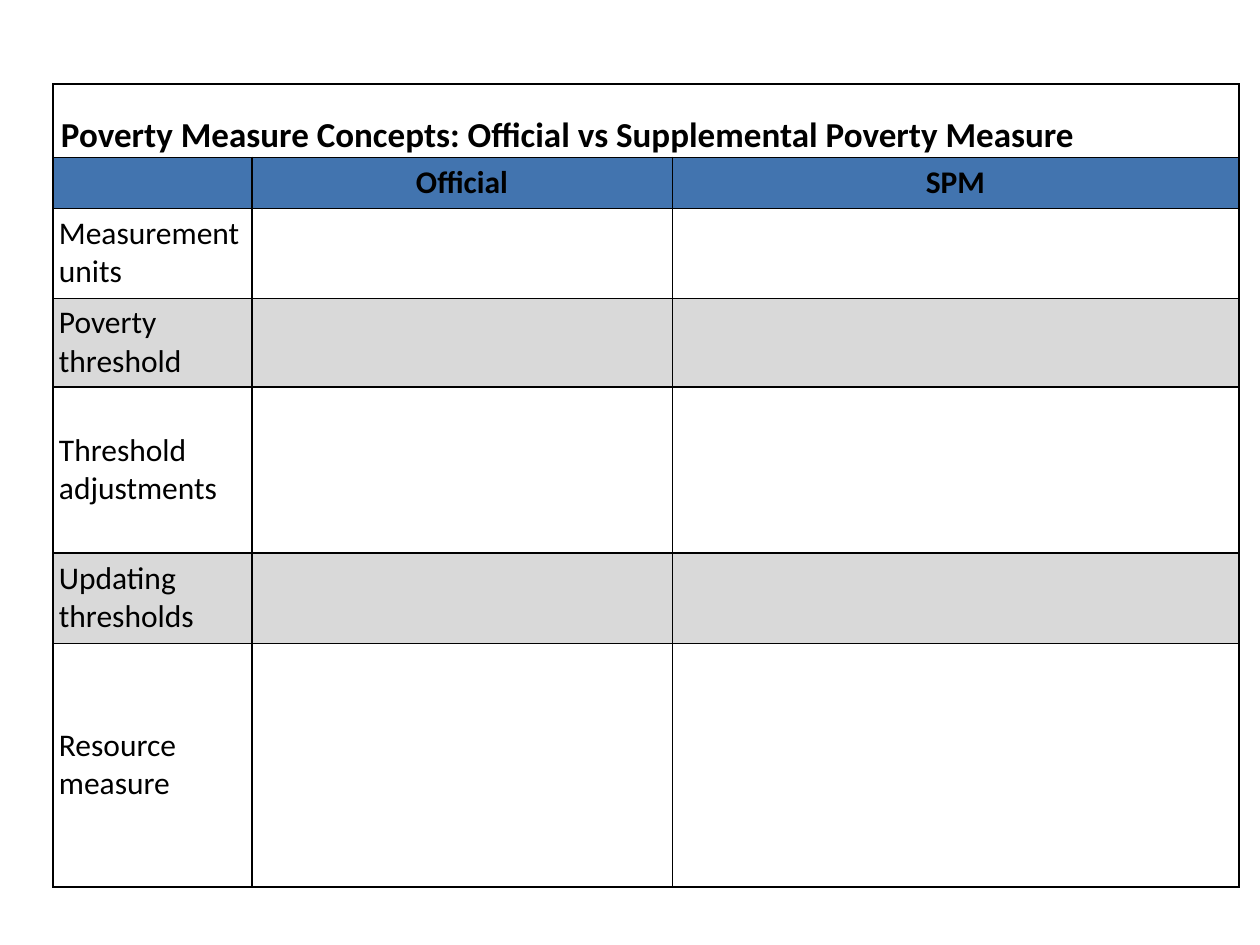
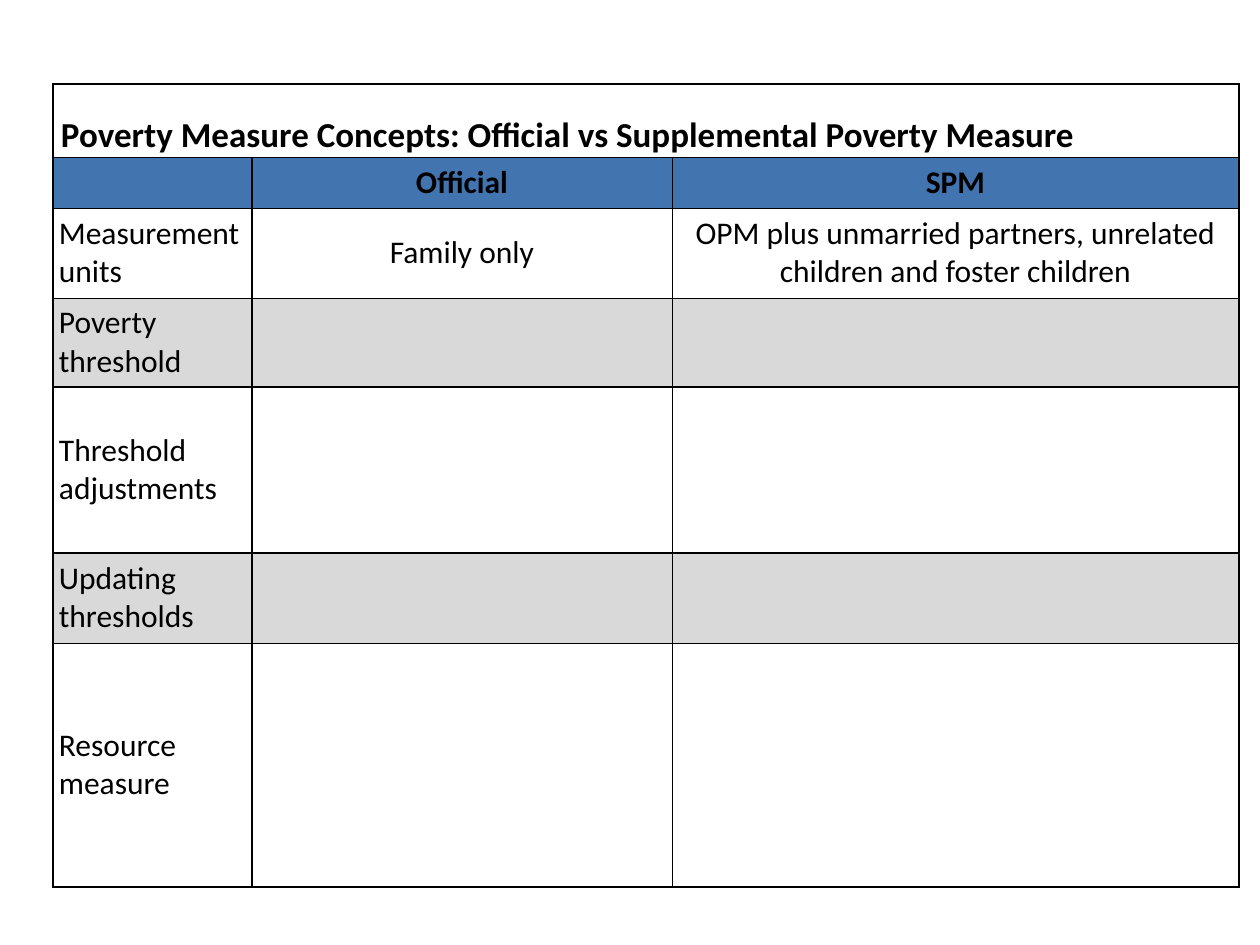
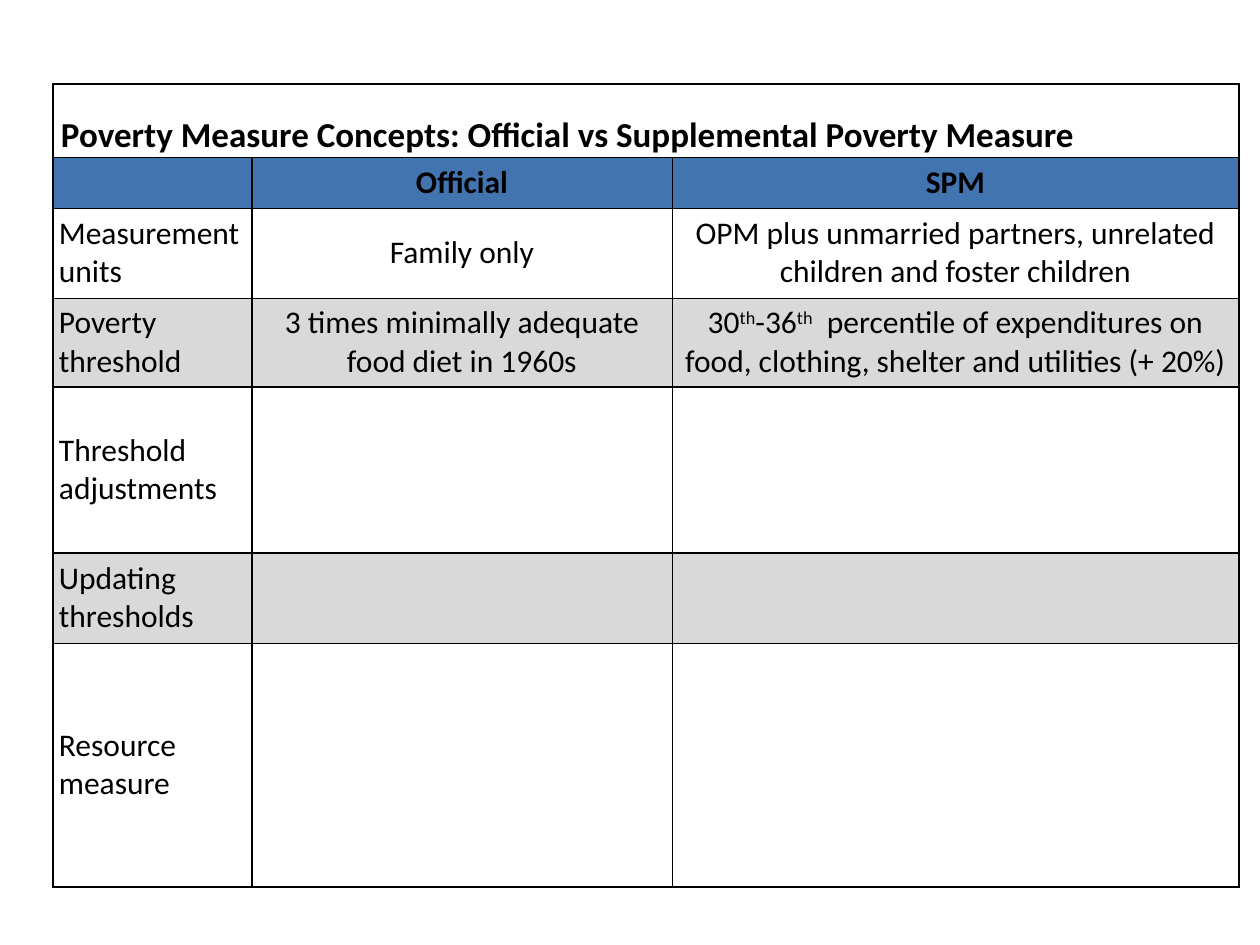
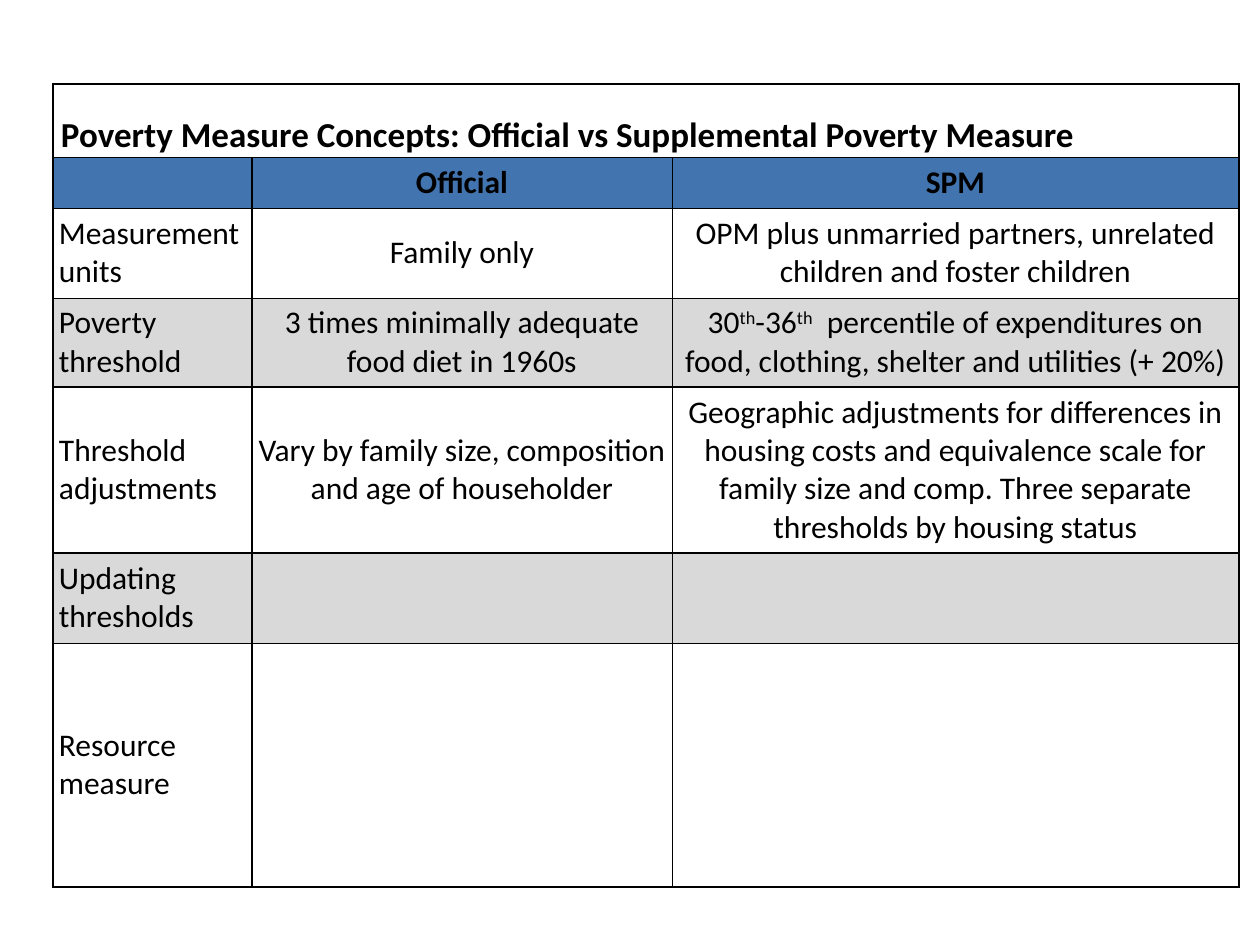
"""Build four slides that reveal a poverty measure table row by row."""
from lxml import etree
from pptx import Presentation
from pptx.dml.color import RGBColor
from pptx.enum.text import MSO_ANCHOR, PP_ALIGN
from pptx.oxml.ns import qn
from pptx.util import Pt

LEFT, CENTER = PP_ALIGN.LEFT, PP_ALIGN.CENTER
MIDDLE, BOTTOM = MSO_ANCHOR.MIDDLE, MSO_ANCHOR.BOTTOM
SCALE = 914400 / 126
COLORS = {"ink": "000000", "head": "4274AF", "band": "D9D9D9", "plain": "FFFFFF"}
FORMATS = {
    "title": {"size": Pt(20), "bold": True},
    "head": {"size": Pt(18), "bold": True},
    "body": {"size": Pt(18), "bold": False},
}
INSETS = {
    "title": {"margin_left": 8, "margin_right": 1, "margin_top": 1, "margin_bottom": 0},
    "head": {"margin_left": 1, "margin_right": 1, "margin_top": 1, "margin_bottom": 0},
    "body": {"margin_left": 6, "margin_right": 6, "margin_top": 6, "margin_bottom": 6},
}
LEFT_EDGE, TOP_EDGE = 53, 84
COLS = [199, 420, 567]
ROWS = [73, 51, 90, 89, 166, 90, 244]
COL_LINES = [1, 1, 0.5, 1]
ROW_LINES = [1, 0.5, 0.5, 0.5, 1, 1, 0.5, 1]

TITLE = "Poverty Measure Concepts: Official vs Supplemental Poverty Measure"
HEADS = ["", "Official", "SPM"]
LABELS = ["Measurement units", "Poverty threshold", "Threshold adjustments",
          "Updating thresholds", "Resource measure"]
FACTS = [
    ["Family only",
     "OPM plus unmarried partners, unrelated children and foster children"],
    ["3 times minimally adequate food diet in 1960s",
     "30^th^-36^th^  percentile of expenditures on food, clothing, shelter "
     "and utilities (+ 20%)"],
    ["Vary by family size, composition and age of householder",
     "Geographic adjustments for differences in housing costs and equivalence "
     "scale for family size and comp. Three separate thresholds by housing status"],
]


def px(n):
    """Turn pixels into EMU."""
    return round(n * SCALE)


class Deck:
    """Hold the style and the current slide."""

    def __init__(self):
        """Start an empty deck."""
        self.prs = Presentation()
        self.prs.slide_width, self.prs.slide_height = px(1260), px(945)
        self.slide = None

    def page(self):
        """Add a blank slide."""
        self.slide = self.prs.slides.add_slide(self.prs.slide_layouts[6])

    def grid(self, x, y, cols, rows):
        """Add an unstyled table with the given column and row sizes."""
        frame = self.slide.shapes.add_table(
            len(rows), len(cols), px(x), px(y), px(sum(cols)), px(sum(rows)))
        table = frame.table
        table.first_row = table.horz_banding = False
        for col, width in zip(table.columns, cols):
            col.width = px(width)
        for row, height in zip(table.rows, rows):
            row.height = px(height)
        return table

    def border(self, cell, widths):
        """Draw the left, right, top and bottom lines of a cell."""
        props = cell._tc.get_or_add_tcPr()
        for side, width in zip("LRTB", widths):
            line = etree.SubElement(props, qn(f"a:ln{side}"), w=str(Pt(width)))
            fill = etree.SubElement(line, qn("a:solidFill"))
            etree.SubElement(fill, qn("a:srgbClr"), val=COLORS["ink"])

    def cell(self, cell, text, kind, color, align=LEFT, anchor=MIDDLE):
        """Fill a cell and write its text, with superscripts between carets."""
        cell.fill.solid()
        cell.fill.fore_color.rgb = RGBColor.from_string(COLORS[color])
        cell.vertical_anchor = anchor
        for name, value in INSETS[kind].items():
            setattr(cell, name, px(value))
        para = cell.text_frame.paragraphs[0]
        para.alignment = align
        if not text:
            return
        for i, part in enumerate(text.split("^")):
            run = para.add_run()
            run.text = part
            run.font.name = "Calibri"
            run.font.color.rgb = RGBColor.from_string(COLORS["ink"])
            for name, value in FORMATS[kind].items():
                setattr(run.font, name, value)
            if i % 2:
                run._r.get_or_add_rPr().set("baseline", "30000")

    def measures(self, shown):
        """Add the table with the first rows of facts shown."""
        table = self.grid(LEFT_EDGE, TOP_EDGE, COLS, ROWS)
        for r in range(len(ROWS)):
            for c in range(len(COLS)):
                self.border(table.cell(r, c),
                            COL_LINES[c:c + 2] + ROW_LINES[r:r + 2])
        title = table.cell(0, 0)
        title.merge(table.cell(0, len(COLS) - 1))
        self.cell(title, TITLE, "title", "plain", anchor=BOTTOM)
        for c, head in enumerate(HEADS):
            self.cell(table.cell(1, c), head, "head", "head", CENTER)
        for r, label in enumerate(LABELS):
            facts = FACTS[r] if r < shown else ["", ""]
            color = "band" if r % 2 else "plain"
            for c, text in enumerate([label, *facts]):
                self.cell(table.cell(r + 2, c), text, "body", color,
                          CENTER if c else LEFT)


def main():
    """Build and save the deck."""
    deck = Deck()
    for shown in range(len(FACTS) + 1):
        deck.page()
        deck.measures(shown)
    deck.prs.save("out.pptx")


if __name__ == "__main__":
    main()
